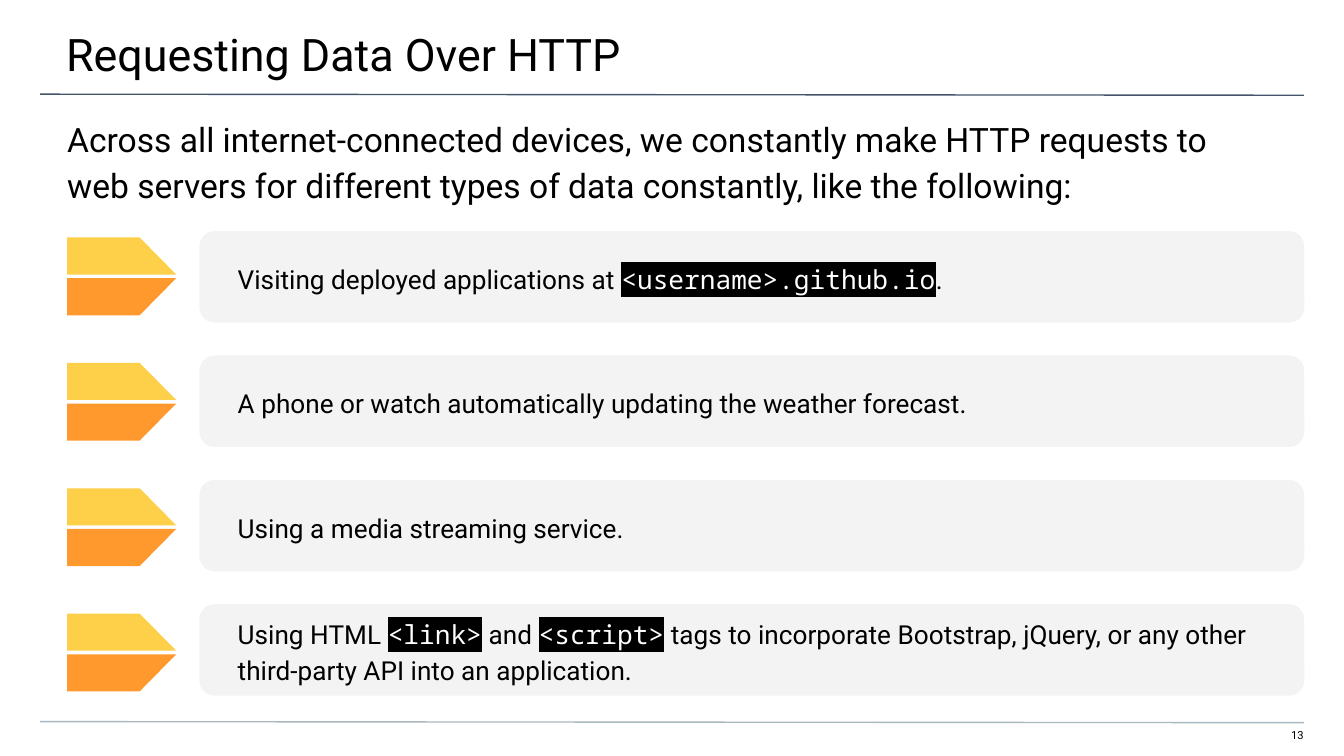
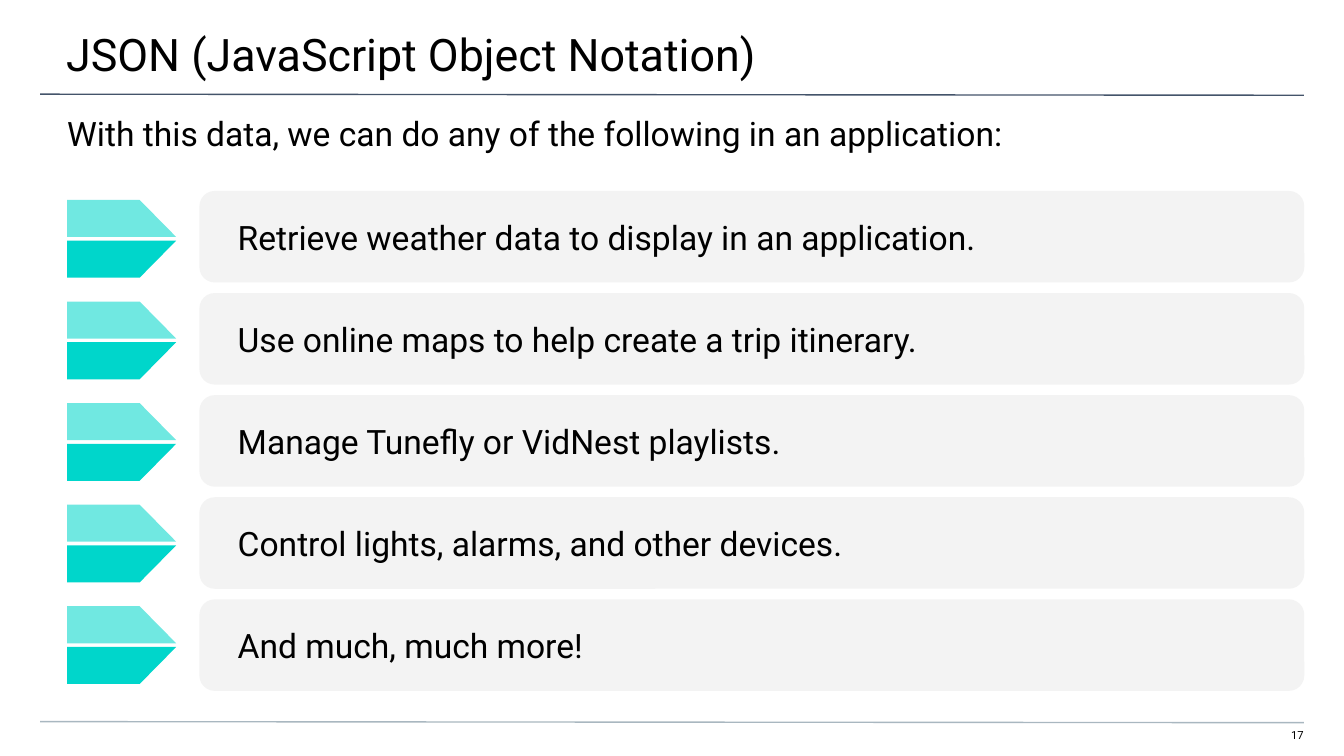
from lxml.etree import SubElement
from pptx import Presentation
from pptx.dml.color import RGBColor
from pptx.enum.shapes import MSO_CONNECTOR, MSO_SHAPE
from pptx.enum.text import MSO_ANCHOR, PP_ALIGN
from pptx.oxml import parse_xml
from pptx.oxml.ns import nsdecls, qn
from pptx.util import Cm, Pt

BLACK = RGBColor(0x00, 0x00, 0x00)
WHITE = RGBColor(0xFF, 0xFF, 0xFF)
NAVY = RGBColor(0x44, 0x54, 0x6A)
STEEL = RGBColor(0xA9, 0xB7, 0xC0)
PALE = RGBColor(0xF3, 0xF3, 0xF3)
GOLD = RGBColor(0xFE, 0xCF, 0x48)
ORANGE = RGBColor(0xFF, 0x99, 0x2D)
TEAL = RGBColor(0x00, 0xD6, 0xCB)

SANS = "Roboto"
MONO = "Noto Sans Mono"


def mark(run):
    glow = parse_xml(
        f'<a:highlight {nsdecls("a")}><a:srgbClr val="{BLACK}"/></a:highlight>'
    )
    run.font.fill._xPr.find(qn("a:solidFill")).addnext(glow)


def write(shape, text, size=18, space=1.0, align=PP_ALIGN.LEFT,
          anchor=MSO_ANCHOR.TOP, inset=(0, 0, 0, 0)):
    frame = shape.text_frame
    frame.word_wrap = True
    frame.vertical_anchor = anchor
    (frame.margin_left, frame.margin_top,
     frame.margin_right, frame.margin_bottom) = map(Cm, inset)
    para = frame.paragraphs[0]
    para.alignment = align
    para.line_spacing = space
    for spot, part in enumerate(text.split("`")):
        code = spot % 2 == 1
        run = para.add_run()
        run.text = part
        run.font.size = Pt(size)
        run.font.name = MONO if code else SANS
        run.font.color.rgb = WHITE if code else BLACK
        if code:
            mark(run)


def label(slide, box, text, **style):
    write(slide.shapes.add_textbox(*map(Cm, box)), text, **style)


def paint(shape, color, alpha=None):
    shape.shadow.inherit = False
    shape.fill.solid()
    shape.fill.fore_color.rgb = color
    shape.line.fill.background()
    if alpha:
        tint = shape.fill._xPr.find(qn("a:solidFill"))[0]
        SubElement(tint, qn("a:alpha"), val=str(alpha * 1000))


def rule(slide, top, color):
    line = slide.shapes.add_connector(
        MSO_CONNECTOR.STRAIGHT, Cm(0.76), Cm(top), Cm(24.64), Cm(top + 0.02))
    line.line.color.rgb = color
    line.line.width = Pt(0.75)
    SubElement(line._element.spPr, qn("a:effectLst"))


def half(slide, base, edge, color, alpha=None):
    left = 1.27
    pen = slide.shapes.build_freeform(Cm(left), Cm(edge))
    pen.add_line_segments([
        (Cm(left), Cm(base)),
        (Cm(left + 2.06), Cm(base)),
        (Cm(left + 1.37), Cm(edge)),
    ], close=True)
    paint(pen.convert_to_shape(), color, alpha)


def arrow(slide, top, upper, lower, alpha):
    half(slide, top + 0.7, top, upper, alpha)
    half(slide, top + 0.77, top + 1.47, lower)


def bar(slide, top, text, **style):
    shape = slide.shapes.add_shape(
        MSO_SHAPE.ROUNDED_RECTANGLE, Cm(3.77), Cm(top), Cm(20.88), Cm(1.73))
    paint(shape, PALE)
    write(shape, text, anchor=MSO_ANCHOR.MIDDLE,
          inset=(0.64, 0.25, 0.25, 0.25), **style)


def page(deck, title, intro, number, space):
    slide = deck.slides.add_slide(deck.slide_layouts[6])
    label(slide, (23.9, 13.77, 0.74, 0.3), number, size=6,
          align=PP_ALIGN.RIGHT, inset=(0, 0, 0, 0.25))
    rule(slide, 1.78, NAVY)
    rule(slide, 13.64, STEEL)
    label(slide, (0, 0, 25.4, 1.47), title, size=24,
          inset=(1.25, 0.51, 0.76, 0.25))
    label(slide, (0, 1.88, 25.4, 1.02), intro, space=space,
          inset=(1.27, 0.25, 1.27, 0))
    return slide


def rows(slide, texts, bars, arrows, upper, lower, alpha=None, **style):
    for index, text in enumerate(texts):
        bar(slide, bars[0] + index * bars[1], text, **style)
        arrow(slide, arrows[0] + index * arrows[1], upper, lower, alpha)


def main():
    deck = Presentation()
    deck.slide_width, deck.slide_height = Cm(25.4), Cm(14.29)

    web = page(
        deck, "Requesting Data Over HTTP",
        "Across all internet-connected devices, we constantly make HTTP "
        "requests to web servers for different types of data constantly, "
        "like the following:", "13", 1.15)
    rows(web, [
        "Visiting deployed applications at `<username>.github.io`.",
        "A phone or watch automatically updating the weather forecast.",
        "Using a media streaming service.",
        "Using HTML `<link>` and `<script>` tags to incorporate Bootstrap, "
        "jQuery, or any other third-party API into an application.",
    ], (4.37, 2.35), (4.49, 2.37), GOLD, ORANGE, size=14, space=1.15)

    json = page(
        deck, "JSON (JavaScript Object Notation)",
        "With this data, we can do any of the following in an application:",
        "17", 1.0)
    rows(json, [
        "Retrieve weather data to display in an application.",
        "Use online maps to help create a trip itinerary.",
        "Manage Tunefly or VidNest playlists.",
        "Control lights, alarms, and other devices.",
        "And much, much more!",
    ], (3.61, 1.93), (3.78, 1.92), TEAL, TEAL, alpha=56)

    deck.save("out.pptx")


if __name__ == "__main__":
    main()
